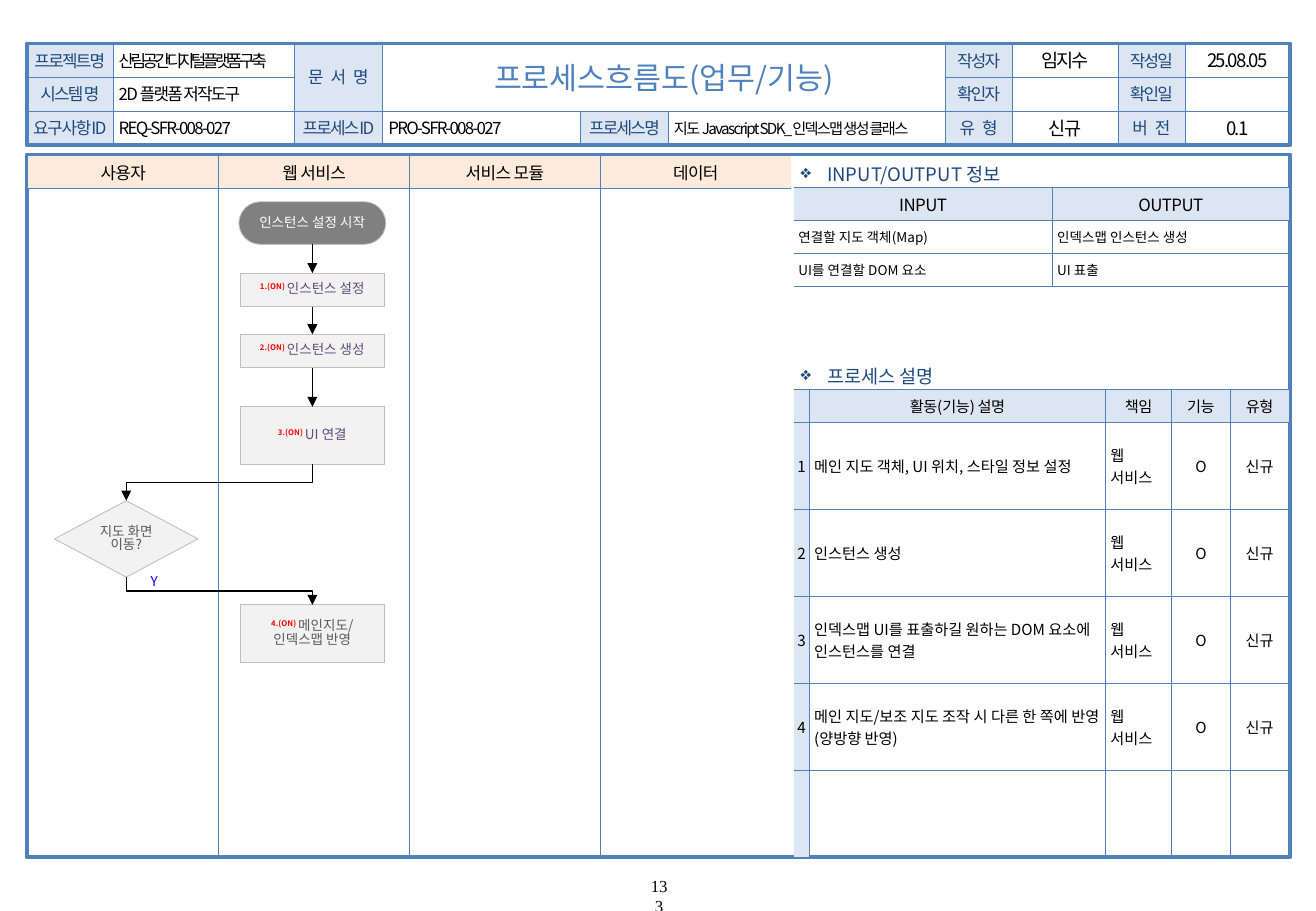
"""Build the process flow slide: header grid, swim lanes, flow and tables."""
from dataclasses import dataclass

from lxml.etree import SubElement as Sub
from pptx import Presentation
from pptx.dml.color import RGBColor as RGB
from pptx.enum.shapes import MSO_CONNECTOR as Link, MSO_SHAPE as Form
from pptx.enum.text import MSO_ANCHOR as Anchor, PP_ALIGN as Align
from pptx.oxml.ns import qn
from pptx.util import Cm, Pt


@dataclass(frozen=True)
class Theme:
    font: str = "Noto Sans CJK KR"
    serif: str = "Times New Roman"
    blue: str = "4F81BD"
    navy: str = "1F497D"
    pale: str = "DCE6F2"
    peach: str = "FDEADA"
    white: str = "FFFFFF"
    black: str = "000000"
    red: str = "FF0000"
    link: str = "0000FF"
    plum: str = "604A7B"
    gray: str = "595959"
    dark: str = "808080"
    light: str = "F2F2F2"
    rim: str = "BFBFBF"
    title: float = 18
    big: float = 11
    base: float = 10
    mid: float = 9
    small: float = 8


T = Theme()
SIDES = {"l": Align.LEFT, "c": Align.CENTER}

COLS = [0.56, 2.36, 6.15, 8, 12.14, 13.97, 19.76, 21.16, 23.37, 24.77, 26.97]
ROWS = [0.91, 1.62, 2.32, 3.04]
LABELS = [
    (0, 1, 0, 1, "프로젝트명", -1), (0, 1, 1, 2, "시스템 명", -1),
    (0, 1, 2, 3, "요구사항ID", -0.7), (2, 3, 0, 2, "문 서 명", 1),
    (2, 3, 2, 3, "프로세스ID", -1), (4, 5, 2, 3, "프로세스명", -1),
    (6, 7, 0, 1, "작성자", -1), (6, 7, 1, 2, "확인자", -1), (6, 7, 2, 3, "유 형", 1),
    (8, 9, 0, 1, "작성일", -1), (8, 9, 1, 2, "확인일", -1), (8, 9, 2, 3, "버 전", 1),
]
VALUES = [
    (1, 2, 0, 1, "산림공간디지털플랫폼구축", T.base, "l", -2),
    (1, 2, 1, 2, "2D 플랫폼 저작도구", T.base, "l", -1),
    (1, 2, 2, 3, "REQ-SFR-008-027", T.base, "l", -1),
    (3, 4, 2, 3, "PRO-SFR-008-027", T.base, "l", -1),
    (5, 6, 2, 3, "지도 Javascript SDK_인덱스맵 생성 클래스", T.mid, "l", -1),
    (7, 8, 0, 1, "임지수", T.big, "c", -1), (7, 8, 1, 2, "", T.big, "c", -1),
    (7, 8, 2, 3, "신규", T.big, "c", -1), (9, 10, 0, 1, "25.08.05", T.big, "c", -1),
    (9, 10, 1, 2, "", T.big, "c", -1), (9, 10, 2, 3, "0.1", T.big, "c", -1),
]
TITLE = (3, 6, 0, 2, "프로세스흐름도(업무/기능)")
FRAMES = [(0.56, 0.91, 26.41, 2.13), (0.56, 3.23, 26.41, 14.7)]
HEADS = [(3.4, "INPUT/OUTPUT 정보"), (7.62, "프로세스 설명")]

STEPS = [
    "메인 지도 객체, UI 위치, 스타일 정보 설정",
    "인스턴스 생성",
    "인덱스맵 UI를 표출하길 원하는 DOM 요소에 인스턴스를 연결",
    "메인 지도/보조 지도 조작 시 다른 한 쪽에 반영(양방향 반영)",
]
TABLES = [
    dict(at=(0.58, 3.25), cols=[3.99] * 4, rows=[0.69, 13.94], head=T.peach,
         size=(T.base, T.base), sides="cccc", index=False,
         data=[["사용자", "웹 서비스", "서비스 모듈", "데이터"], [""] * 4]),
    dict(at=(16.59, 3.92), cols=[5.41, 4.95], rows=[0.69] * 3, head=T.pale,
         size=(T.base, T.small), sides="ll", index=False,
         data=[["INPUT", "OUTPUT"],
               ["연결할 지도 객체(Map)", "인덱스맵 인스턴스 생성"],
               ["UI를 연결할 DOM 요소", "UI 표출"]]),
    dict(at=(16.59, 8.14), cols=[0.33, 6.19, 1.38, 1.23, 1.22],
         rows=[0.69] + [1.82] * 5, head=T.pale,
         size=(T.mid, T.mid), sides="cllcc", index=True,
         data=[["", "활동(기능) 설명", "책임", "기능", "유형"]]
         + [[str(i), step, "웹\n서비스", "O", "신규"] for i, step in enumerate(STEPS, 1)]
         + [[""] * 5]),
]

NODES = [
    (Form.ROUNDED_RECTANGLE, 6.53, 4.22, 3.07, 0.89, "", "인스턴스 설정 시작", T.white),
    (Form.RECTANGLE, 6.53, 5.71, 3, 0.7, "1.(ON) ", "인스턴스 설정", T.plum),
    (Form.RECTANGLE, 6.53, 6.99, 3, 0.7, "2.(ON) ", "인스턴스 생성", T.plum),
    (Form.RECTANGLE, 6.53, 8.51, 3, 1.2, "3.(ON) ", "UI 연결", T.plum),
    (Form.DIAMOND, 2.64, 10.47, 3, 1.6, "", "지도 화면 이동?", T.gray),
    (Form.RECTANGLE, 6.53, 12.65, 3, 1.2, "4.(ON) ", "메인지도/\n인덱스맵 반영", T.gray),
]


def put(frame, text, size, color, side="c", gap=0, tag="", face=T.font, bullet=""):
    """Write one styled paragraph into a text frame."""
    frame.word_wrap = True
    para = frame.paragraphs[0]
    props = para._p.get_or_add_pPr()
    if bullet:
        props.set("marL", str(Cm(0.55)))
        props.set("indent", str(-Cm(0.55)))
        Sub(props, qn("a:buChar"), char=bullet)
    para.alignment = SIDES[side]
    font = para.font
    font.size, font.name = Pt(size), face
    font.color.rgb = RGB.from_string(color)
    base = props.find(qn("a:defRPr"))
    base.set("spc", str(round(gap * 100)))
    Sub(base, qn("a:ea"), typeface=face)
    if tag:
        run = para.add_run()
        run.text = tag
        run.font.bold = True
        run.font.color.rgb = RGB.from_string(T.red)
        run._r.get_or_add_rPr().set("baseline", "30000")
    for i, line in enumerate(text.split("\n") if text else []):
        if i:
            para.add_line_break()
        para.add_run().text = line
    return para


def pad(area, x=0, y=0):
    area.margin_left = area.margin_right = Cm(x)
    area.margin_top = area.margin_bottom = Cm(y)
    area.vertical_anchor = Anchor.MIDDLE


def block(shapes, form, box, fill, line, width):
    shape = shapes.add_shape(form, *map(Cm, box))
    shape.shadow.inherit = False
    if fill:
        shape.fill.solid()
        shape.fill.fore_color.rgb = RGB.from_string(fill)
    else:
        shape.fill.background()
    shape.line.color.rgb = RGB.from_string(line)
    shape.line.width = Pt(width)
    pad(shape.text_frame)
    return shape


def label(shapes, box, *args, **more):
    frame = shapes.add_textbox(*map(Cm, box)).text_frame
    pad(frame)
    put(frame, *args, **more)


def slot(shapes, span, fill):
    a, b, c, d = span
    box = COLS[a], ROWS[c], COLS[b] - COLS[a], ROWS[d] - ROWS[c]
    frame = block(shapes, Form.RECTANGLE, box, fill, T.blue, 0.25).text_frame
    pad(frame, 0.12 if fill == T.white else 0)
    return frame


def edge(cell, names):
    props = cell._tc.get_or_add_tcPr()
    for i, name in enumerate(("lnL", "lnR", "lnT", "lnB")):
        line = props.makeelement(qn("a:" + name), {"w": str(Pt(0.5))})
        if name in names:
            Sub(Sub(line, qn("a:solidFill")), qn("a:srgbClr"), val=T.blue)
        else:
            Sub(line, qn("a:noFill"))
        props.insert(i, line)


def grid(shapes, at, cols, rows, head, size, sides, index, data):
    box = *at, sum(cols), sum(rows)
    table = shapes.add_table(len(rows), len(cols), *map(Cm, box)).table
    table.first_row = table.horz_banding = False
    for col, width in zip(table.columns, cols):
        col.width = Cm(width)
    for r, (row, high) in enumerate(zip(table.rows, rows)):
        row.height = Cm(high)
        for c, cell in enumerate(row.cells):
            pad(cell, 0.1 if r and not (index and c == 0) else 0)
            put(cell.text_frame, data[r][c], size[r > 0], T.black,
                sides[c] if r else "c", 0 if r else -0.3)
            if r == 0 or index and c == 0:
                cell.fill.solid()
                cell.fill.fore_color.rgb = RGB.from_string(head)
            else:
                cell.fill.background()
            edge(cell, ["lnT", "lnB"] + ["lnL"] * (c > 0) + ["lnR"] * (c < len(cols) - 1))


def arrow(shapes, x, y, end, foot):
    dx, dy = end - x, foot - y
    kind, ends = Link.STRAIGHT, (x, y, end, foot)
    if dx:
        mx, my, turn = x + dx / 2, y + dy / 2, -1 if dx > 0 else 1
        side, half = turn * dy / 2, abs(dx) / 2
        kind, ends = Link.ELBOW, (mx - side, my - half, mx + side, my + half)
    line = shapes.add_connector(kind, *map(Cm, ends))
    line.line.color.rgb = RGB.from_string(T.black)
    line.line.width = Pt(0.75)
    props = line._element.spPr
    if dx:
        props.find(qn("a:xfrm")).set("rot", str(turn * 5400000 % 21600000))
    Sub(props.find(qn("a:ln")), qn("a:tailEnd"), type="triangle")
    Sub(props, qn("a:effectLst"))


def main():
    deck = Presentation()
    deck.slide_width, deck.slide_height = Cm(27.51), Cm(19.05)
    shapes = deck.slides.add_slide(deck.slide_layouts[6]).shapes
    for *span, text, size, side, gap in VALUES:
        put(slot(shapes, span, T.white), text, size, T.black, side, gap)
    for *span, text, gap in LABELS:
        put(slot(shapes, span, T.pale), text, T.base, T.navy, gap=gap)
    *span, text = TITLE
    put(slot(shapes, span, T.white), text, T.title, T.blue)
    for box in FRAMES:
        block(shapes, Form.RECTANGLE, box, None, T.blue, 2.25)
    for y, text in HEADS:
        label(shapes, (16.74, y, 6, 0.48), text, T.big, T.navy, "l", bullet="❖")
    for spec_row in TABLES:
        grid(shapes, **spec_row)
    for form, x, y, wide, high, tag, text, ink in NODES:
        fill = T.dark if ink == T.white else T.light
        node = block(shapes, form, (x - wide / 2, y, wide, high), fill, T.rim, 0.5)
        if form == Form.ROUNDED_RECTANGLE:
            node.adjustments[0] = 0.5
        put(node.text_frame, text, T.small, ink, tag=tag).line_spacing = 0.82
    for here, after in zip(NODES, NODES[1:]):
        arrow(shapes, here[1], here[2] + here[4], after[1], after[2])
    label(shapes, (3.15, 11.99, 0.25, 0.33), "Y", T.small, T.link, "l")
    page = shapes.add_textbox(*map(Cm, (13.31, 18.19, 0.94, 0.69))).text_frame
    put(page, "133", T.base, T.black, face=T.serif)
    deck.save("out.pptx")


if __name__ == "__main__":
    main()
